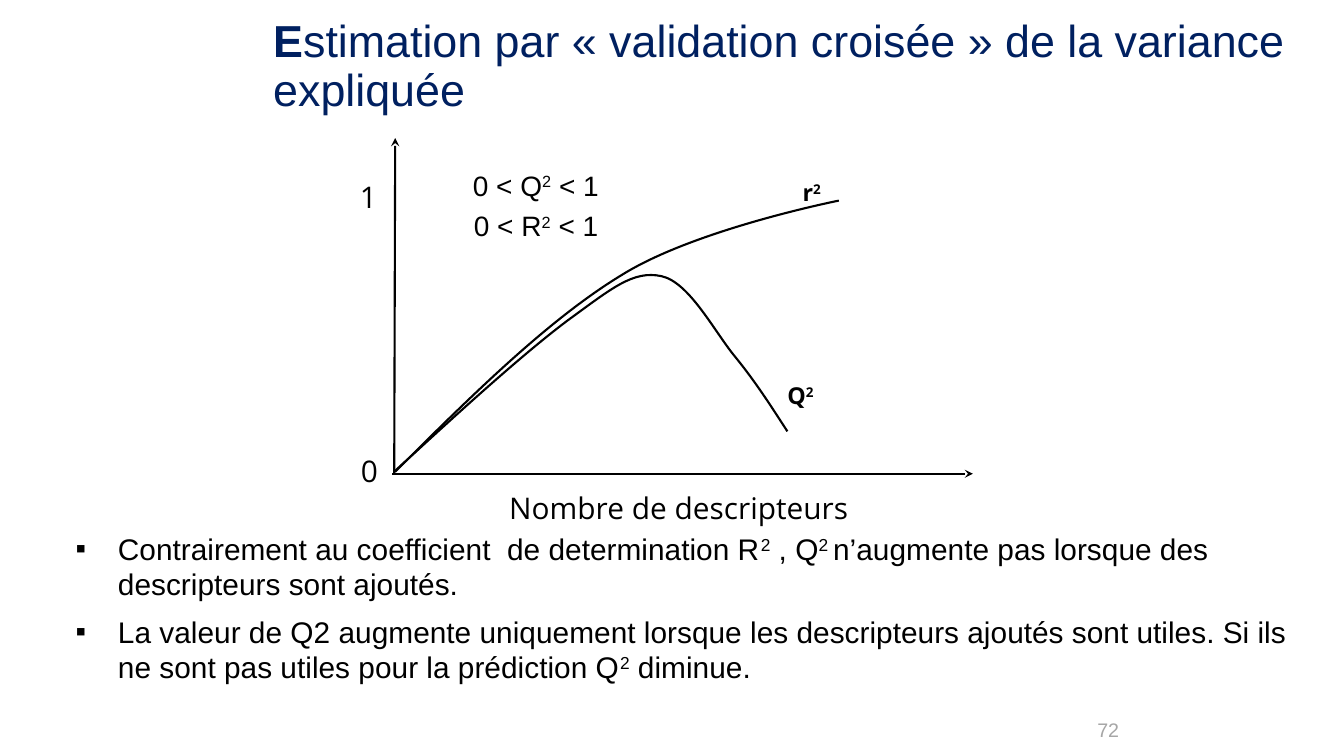
from dataclasses import dataclass

from lxml.etree import SubElement
from pptx import Presentation
from pptx.dml.color import RGBColor
from pptx.enum.shapes import MSO_CONNECTOR
from pptx.enum.text import MSO_ANCHOR, PP_ALIGN
from pptx.oxml.ns import qn
from pptx.slide import Slide
from pptx.text.text import TextFrame, _Paragraph as Paragraph
from pptx.util import Inches, Pt

NAVY = RGBColor(0x00, 0x20, 0x60)
BLACK = RGBColor(0x00, 0x00, 0x00)
GRAY = RGBColor(0xA6, 0xA6, 0xA6)
SUPERSCRIPT = "30000"

Point = tuple[float, float]
Box = tuple[float, float, float, float]


@dataclass(frozen=True)
class Style:
    size: float
    font: str = "Arial"
    color: RGBColor = BLACK
    bold: bool = False


@dataclass(frozen=True)
class Label:
    text: str
    box: Box
    style: Style


@dataclass(frozen=True)
class Axis:
    start: Point
    end: Point


@dataclass(frozen=True)
class Curve:
    """A start point, then two control points and an end point per segment."""
    start: Point
    points: tuple[Point, ...]


RANGE = Style(20)
AXIS_TEXT = Style(21.33, "Open Sans")
CURVE_TEXT = Style(16.67, "Open Sans", bold=True)
BODY = Style(21.33)

# Text between carets is superscript
LABELS = [
    Label("0 < Q^2^ < 1", (4.56, 1.6, 1.54, 0.47), RANGE),
    Label("0 < R^2^ < 1", (4.57, 2, 1.52, 0.47), RANGE),
    Label("Nombre de descripteurs", (4.92, 4.79, 4.24, 0.85), AXIS_TEXT),
    Label("1", (3.44, 1.7, 0.46, 0.49), AXIS_TEXT),
    Label("0", (3.45, 4.42, 0.46, 0.49), AXIS_TEXT),
    Label("Q^2^", (7.68, 3.71, 0.67, 0.42), CURVE_TEXT),
    Label("r^2^", (7.83, 1.7, 0.56, 0.42), CURVE_TEXT),
]
AXES = [
    Axis((3.89, 4.7), (9.65, 4.7)),
    Axis((3.91, 4.7), (3.92, 1.37)),
]
CURVES = [
    Curve((3.92, 4.68), (
        (4.68, 3.92), (5.45, 3.16), (6.18, 2.72),
        (6.91, 2.27), (8.32, 1.99), (8.32, 1.99),
    )),
    Curve((3.91, 4.68), (
        (4.55, 4.09), (5.19, 3.51), (5.63, 3.18),
        (6.07, 2.86), (6.28, 2.68), (6.56, 2.74),
        (6.84, 2.8), (7.09, 3.3), (7.3, 3.55),
        (7.51, 3.81), (7.66, 4.05), (7.81, 4.28),
    )),
]
BULLETS = [
    "Contrairement au coefficient  de determination R^2^ , Q^2 ^n’augmente pas "
    "lorsque des descripteurs sont ajoutés.",
    "La valeur de Q2 augmente uniquement lorsque les descripteurs ajoutés sont "
    "utiles. Si ils ne sont pas utiles pour la prédiction Q^2^ diminue.",
]


def add_text_frame(slide: Slide, box: Box, inset: Point = (0.13, 0.07)) -> TextFrame:
    frame = slide.shapes.add_textbox(*map(Inches, box)).text_frame
    frame.word_wrap = True
    frame.margin_left = frame.margin_right = Inches(inset[0])
    frame.margin_top = frame.margin_bottom = Inches(inset[1])
    return frame


def add_runs(paragraph: Paragraph, text: str, style: Style) -> None:
    for index, part in enumerate(text.split("^")):
        if not part:
            continue
        run = paragraph.add_run()
        run.text = part
        run.font.name = style.font
        run.font.size = Pt(style.size)
        run.font.bold = style.bold
        run.font.color.rgb = style.color
        if index % 2:
            run._r.get_or_add_rPr().set("baseline", SUPERSCRIPT)


def add_bullet(paragraph: Paragraph) -> None:
    properties = paragraph._p.get_or_add_pPr()
    properties.set("marL", str(Inches(0.42)))
    properties.set("indent", str(Inches(-0.44)))
    color = SubElement(properties, qn("a:buClr"))
    SubElement(color, qn("a:srgbClr")).set("val", str(BLACK))
    SubElement(properties, qn("a:buFont")).set("typeface", "Arial")
    SubElement(properties, qn("a:buChar")).set("char", "▪")


def add_axis(slide: Slide, axis: Axis) -> None:
    connector = slide.shapes.add_connector(
        MSO_CONNECTOR.STRAIGHT, *map(Inches, axis.start + axis.end))
    connector.line.color.rgb = BLACK
    connector.line.width = Pt(1.5)
    properties = connector._element.spPr
    SubElement(properties.find(qn("a:ln")), qn("a:tailEnd")).set("type", "stealth")
    SubElement(properties, qn("a:effectLst"))


def add_curve(slide: Slide, curve: Curve) -> None:
    builder = slide.shapes.build_freeform(*map(Inches, curve.start))
    builder.add_line_segments(
        [(Inches(x), Inches(y)) for x, y in curve.points], close=False)
    shape = builder.convert_to_shape()
    shape.shadow.inherit = False
    shape.fill.background()
    shape.line.color.rgb = BLACK
    shape.line.width = Pt(1.5)

    # Join every three straight segments into one cubic segment
    segments = list(shape._element.iter(qn("a:lnTo")))
    outline = segments[0].getparent()
    for first in range(0, len(segments), 3):
        cubic = SubElement(outline, qn("a:cubicBezTo"))
        for segment in segments[first:first + 3]:
            cubic.append(segment[0])
            outline.remove(segment)


def main() -> None:
    presentation = Presentation()
    presentation.slide_width = Inches(13.33)
    presentation.slide_height = Inches(7.5)
    slide = presentation.slides.add_slide(presentation.slide_layouts[6])

    # Title
    title = add_text_frame(slide, (2.58, 0.12, 10.5, 1.25)).paragraphs[0]
    title.line_spacing = 0.9
    add_runs(title, "E", Style(32, color=NAVY, bold=True))
    add_runs(title, "stimation par «\u00a0validation croisée\u00a0» de la variance expliquée",
             Style(32, color=NAVY))

    # Diagram
    for axis in AXES:
        add_axis(slide, axis)
    for curve in CURVES:
        add_curve(slide, curve)
    for label in LABELS:
        add_runs(add_text_frame(slide, label.box).paragraphs[0], label.text, label.style)

    # Bulleted remarks
    remarks = add_text_frame(slide, (0.62, 5.19, 12.46, 2.15))
    for index, text in enumerate(BULLETS):
        paragraph = remarks.add_paragraph() if index else remarks.paragraphs[0]
        add_bullet(paragraph)
        if index:
            paragraph.space_before = Pt(8)
        add_runs(paragraph, text, BODY)

    # Slide number
    footer = add_text_frame(slide, (9.13, 6.98, 1.97, 0.52), (0, 0))
    footer.vertical_anchor = MSO_ANCHOR.MIDDLE
    footer.paragraphs[0].alignment = PP_ALIGN.RIGHT
    add_runs(footer.paragraphs[0], "72", Style(14, color=GRAY))

    presentation.save("out.pptx")


if __name__ == "__main__":
    main()
